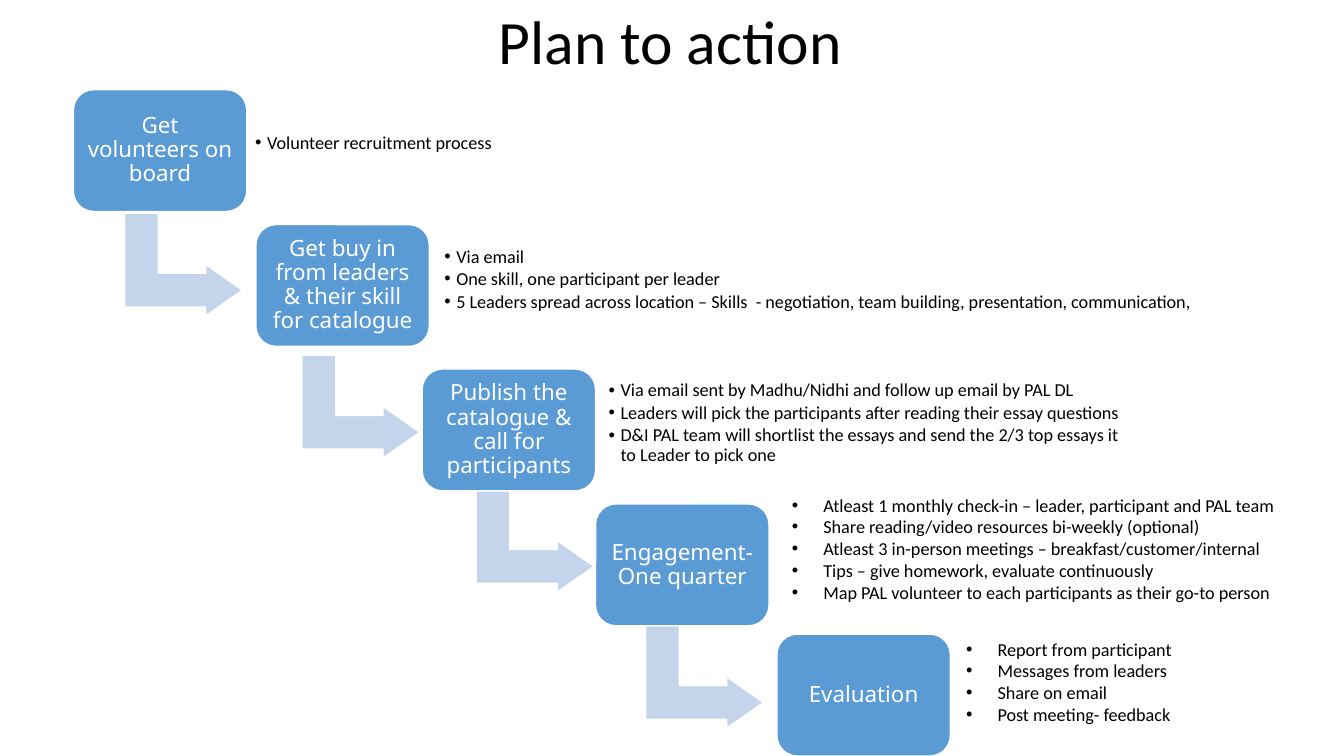
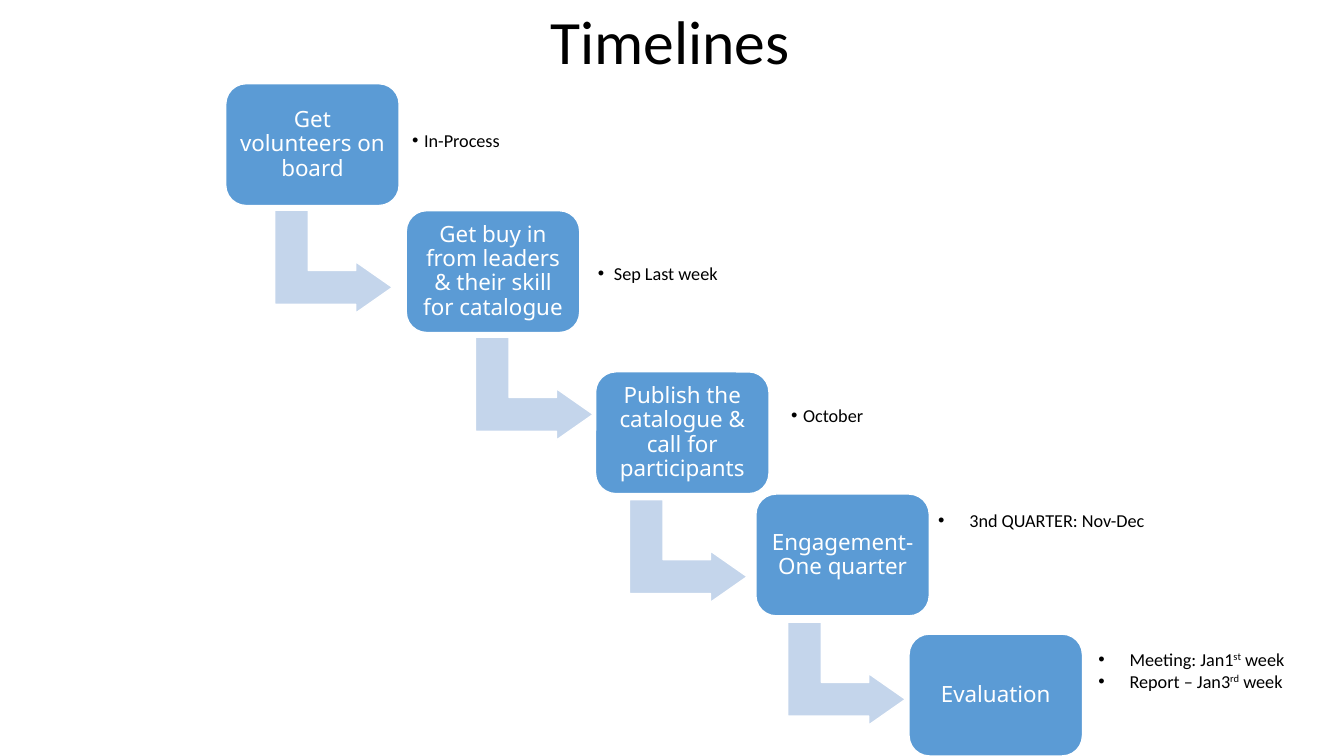
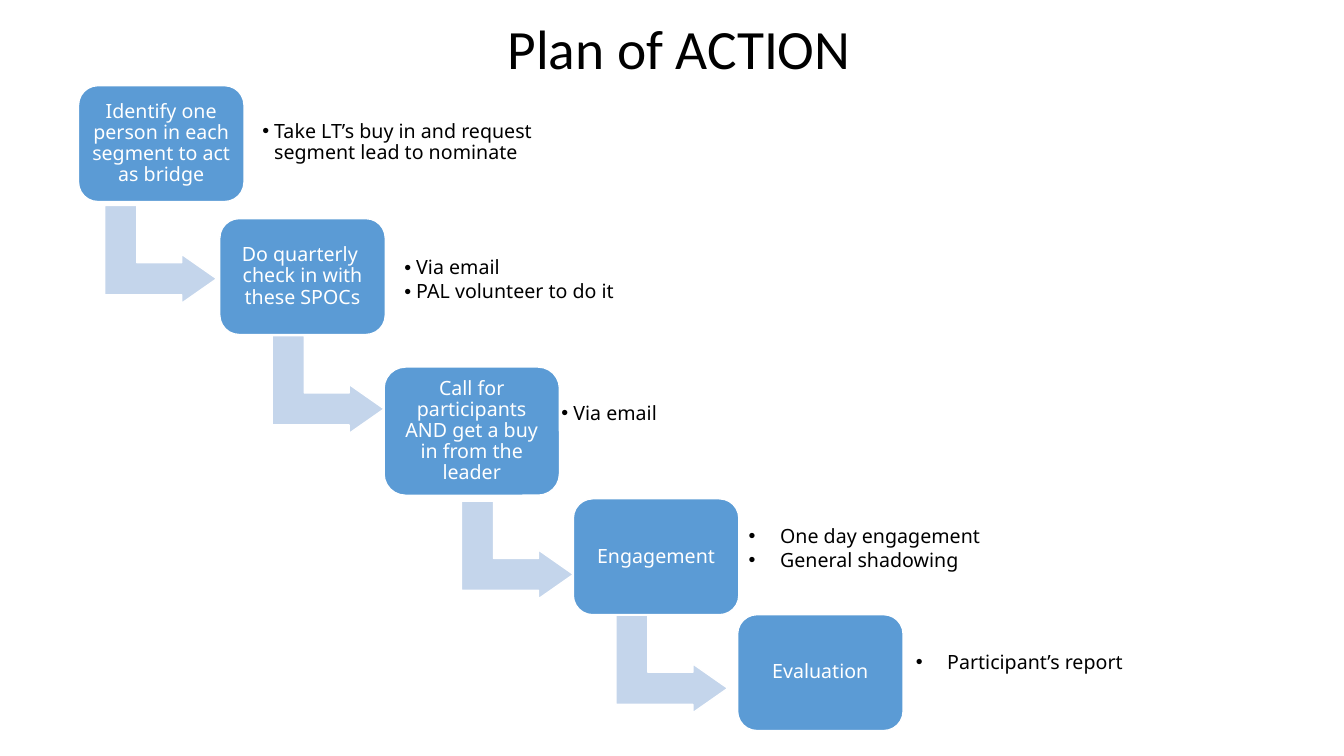
import pptx
import pptx.util
import pptx.dml.color
import pptx.enum.shapes
import pptx.enum.text
import lxml.etree

Cm = pptx.util.Cm
Pt = pptx.util.Pt
RGBColor = pptx.dml.color.RGBColor
MSO_SHAPE = pptx.enum.shapes.MSO_SHAPE
PP_ALIGN = pptx.enum.text.PP_ALIGN
MSO_ANCHOR = pptx.enum.text.MSO_ANCHOR

BLUE = RGBColor(0x5B, 0x9B, 0xD5)
PALE_BLUE = RGBColor(0xC4, 0xD5, 0xEB)
WHITE = RGBColor(0xFF, 0xFF, 0xFF)
BLACK = RGBColor(0x00, 0x00, 0x00)
BODY, DISPLAY = "Calibri", "Noto Sans"
A = "{http://schemas.openxmlformats.org/drawingml/2006/main}"

ARROW_ADJUST = (0.328, 0.25, 0.358)
# Notes beside the first three steps are centred, the last two start at the top
CENTRED = {"anchor": MSO_ANCHOR.MIDDLE, "inset": 0.13, "indent": 0.3,
           "line": 0.9, "after": 2}
TOP = {"anchor": MSO_ANCHOR.TOP, "inset": None, "indent": 0.79,
       "line": 1.0, "after": 0}
NOTE_STYLES = (CENTRED, CENTRED, CENTRED, TOP, TOP)

VOLUNTEER_STEPS = (
    "Get volunteers on board",
    "Get buy in from leaders & their skill for catalogue",
    "Publish the catalogue & call for participants",
    "Engagement- One quarter",
    "Evaluation",
)
BRIDGE_STEPS = (
    "Identify one person in each segment to act as bridge",
    "Do quarterly  check in with these SPOCs",
    "Call for participants AND get a buy in from the leader",
    "Engagement",
    "Evaluation",
)
WIDE_LAYOUT = {"title_at": (2.29, 0, 29.21, 2.26), "title_size": 44,
               "box": (4.37, 3.07), "arrow": (2.59, 2.97), "inset": 0.18,
               "label_size": 16, "note_size": 13, "note_font": BODY,
               "steps": VOLUNTEER_STEPS}
COMPACT_LAYOUT = {"title_at": (2.51, 0.53, 29.21, 1.52), "title_size": 39.6,
                  "box": (4.17, 2.92), "arrow": (2.46, 2.82), "inset": 0.15,
                  "label_size": 14, "note_size": 14, "note_font": DISPLAY,
                  "steps": BRIDGE_STEPS}

# Positions are in cm; text between ^ marks is superscript
SLIDES = (
    {**WIDE_LAYOUT, "title": "Plan to action",
     "boxes": ((1.85, 2.26), (6.45, 5.66), (10.64, 9.3), (15.01, 12.7),
               (19.58, 15.98)),
     "arrows": ((3.33, 5.18), (7.8, 8.76), (12.19, 12.14), (16.46, 15.57)),
     "notes": (
         ((6.3, 2.74, 7.32, 1.75), ("Volunteer recruitment process",)),
         ((11.07, 5.82, 19.94, 2.46), (
             "Via email",
             "One skill, one participant per leader",
             "5 Leaders spread across location – Skills  - negotiation, "
             "team building, presentation, communication,")),
         ((15.21, 9.4, 13.44, 2.54), (
             "Via email sent by Madhu/Nidhi and follow up email by PAL DL",
             "Leaders will pick the participants after reading their essay "
             "questions",
             "D&I PAL team will shortlist the essays and send the 2/3 top "
             "essays it to Leader to pick one")),
         ((19.71, 12.32, 14.1, 3.02), (
             "Atleast 1 monthly check-in – leader, participant and PAL team",
             "Share reading/video resources bi-weekly (optional)",
             "Atleast 3 in-person meetings – breakfast/customer/internal",
             "Tips – give homework, evaluate continuously",
             "Map PAL volunteer to each participants as their go-to person")),
         ((24.1, 15.95, 5.99, 2.49), (
             "Report from participant",
             "Messages from leaders",
             "Share on email",
             "Post meeting- feedback")),
     )},
    {**WIDE_LAYOUT, "title": "Timelines",
     "boxes": ((5.69, 2.11), (10.24, 5.31), (15.01, 9.37), (19.05, 12.45),
               (22.91, 15.98)),
     "arrows": ((7.11, 5.11), (12.17, 8.31), (16.05, 12.4), (20.04, 15.49)),
     "notes": (
         ((10.26, 2.34, 6.63, 2.46), ("In-Process",)),
         ((14.94, 5.69, 14.15, 2.46), (" Sep Last week",)),
         ((19.81, 9.22, 13.44, 2.54), ("October",)),
         ((23.39, 12.7, 10.46, 0.81), ("3nd QUARTER: Nov-Dec",)),
         ((27.43, 16.21, 5.99, 1.37), ("Meeting: Jan1^st^ week",
                                       "Report – Jan3^rd^ week")),
     )},
    {**COMPACT_LAYOUT, "title": "Plan of ACTION",
     "boxes": ((1.98, 2.16), (5.54, 5.51), (9.68, 9.25, 4.42, 3.23),
               (14.45, 12.57), (18.59, 15.49)),
     "arrows": ((2.82, 5), (7.04, 8.28), (11.81, 12.45), (15.7, 15.32)),
     "notes": (
         ((6.48, 2.41, 7.21, 2.36), (
             "Take LT’s buy in and request segment lead to nominate",)),
         ((10.06, 5.89, 6.86, 2.36), ("Via email", "PAL volunteer to do it")),
         ((14.02, 9.25, 3.02, 2.36), ("Via email",)),
         ((18.62, 13.08, 6.5, 1.45), ("One day engagement",
                                      "General shadowing")),
         ((22.83, 16.26, 6.43, 0.86), ("Participant’s report",)),
     )},
)


def write(sp, lines, font, para, anchor, inset=None, indent=None):
    """Fill a shape with formatted paragraphs, bulleted if indent is given."""
    tf = sp.text_frame
    tf.word_wrap = True
    tf.vertical_anchor = anchor
    if inset is not None:
        for side in ("left", "top", "right", "bottom"):
            setattr(tf, "margin_" + side, Cm(inset))
    for i, line in enumerate(lines):
        p = tf.add_paragraph() if i else tf.paragraphs[0]
        for name, value in para.items():
            setattr(p, name, value)
        if indent is not None:
            pPr = p._p.get_or_add_pPr()
            pPr.set("marL", str(Cm(indent)))
            pPr.set("indent", str(-Cm(indent)))
            lxml.etree.SubElement(pPr, A + "buFont", typeface="Arial")
            lxml.etree.SubElement(pPr, A + "buChar", char="•")
        for k, text in enumerate(line.split("^")):
            r = p.add_run()
            r.text = text
            for name, value in font.items():
                if name == "color":
                    r.font.color.rgb = value
                else:
                    setattr(r.font, name, value)
            if k % 2:
                r._r.get_or_add_rPr().set("baseline", "30000")


def add_block(slide, kind, at, fill):
    """Add a filled preset shape with a thin white outline."""
    sp = slide.shapes.add_shape(kind, *map(Cm, at))
    sp.shadow.inherit = False
    sp.fill.solid()
    sp.fill.fore_color.rgb = fill
    sp.line.color.rgb = WHITE
    sp.line.width = Pt(1)
    return sp


prs = pptx.Presentation()
prs.slide_width = Cm(33.87)
prs.slide_height = Cm(19.05)

for plan in SLIDES:
    slide = prs.slides.add_slide(prs.slide_layouts[6])
    title = slide.shapes.add_textbox(*map(Cm, plan["title_at"]))
    centred_lines = {"alignment": PP_ALIGN.CENTER, "line_spacing": 0.9}
    write(title, [plan["title"]],
          {"name": BODY, "size": Pt(plan["title_size"]), "color": BLACK},
          centred_lines, MSO_ANCHOR.MIDDLE)

    for at in plan["arrows"]:
        arrow = add_block(slide, MSO_SHAPE.BENT_UP_ARROW,
                          at + plan["arrow"], PALE_BLUE)
        arrow.rotation = 90
        for i, value in enumerate(ARROW_ADJUST):
            arrow.adjustments[i] = value

    label_font = {"name": DISPLAY, "size": Pt(plan["label_size"]),
                  "color": WHITE}
    for label, (left, top, *size) in zip(plan["steps"], plan["boxes"]):
        box = add_block(slide, MSO_SHAPE.ROUNDED_RECTANGLE,
                        (left, top, *(size or plan["box"])), BLUE)
        box.adjustments[0] = 0.167
        write(box, [label], label_font,
              {**centred_lines, "space_after": Pt(0.35 * plan["label_size"])},
              MSO_ANCHOR.MIDDLE, plan["inset"])

    note_font = {"name": plan["note_font"], "size": Pt(plan["note_size"]),
                 "color": BLACK}
    for (at, lines), style in zip(plan["notes"], NOTE_STYLES):
        note = slide.shapes.add_textbox(*map(Cm, at))
        write(note, lines, note_font,
              {"line_spacing": style["line"],
               "space_after": Pt(style["after"])},
              style["anchor"], style["inset"], style["indent"])

prs.save("out.pptx")
